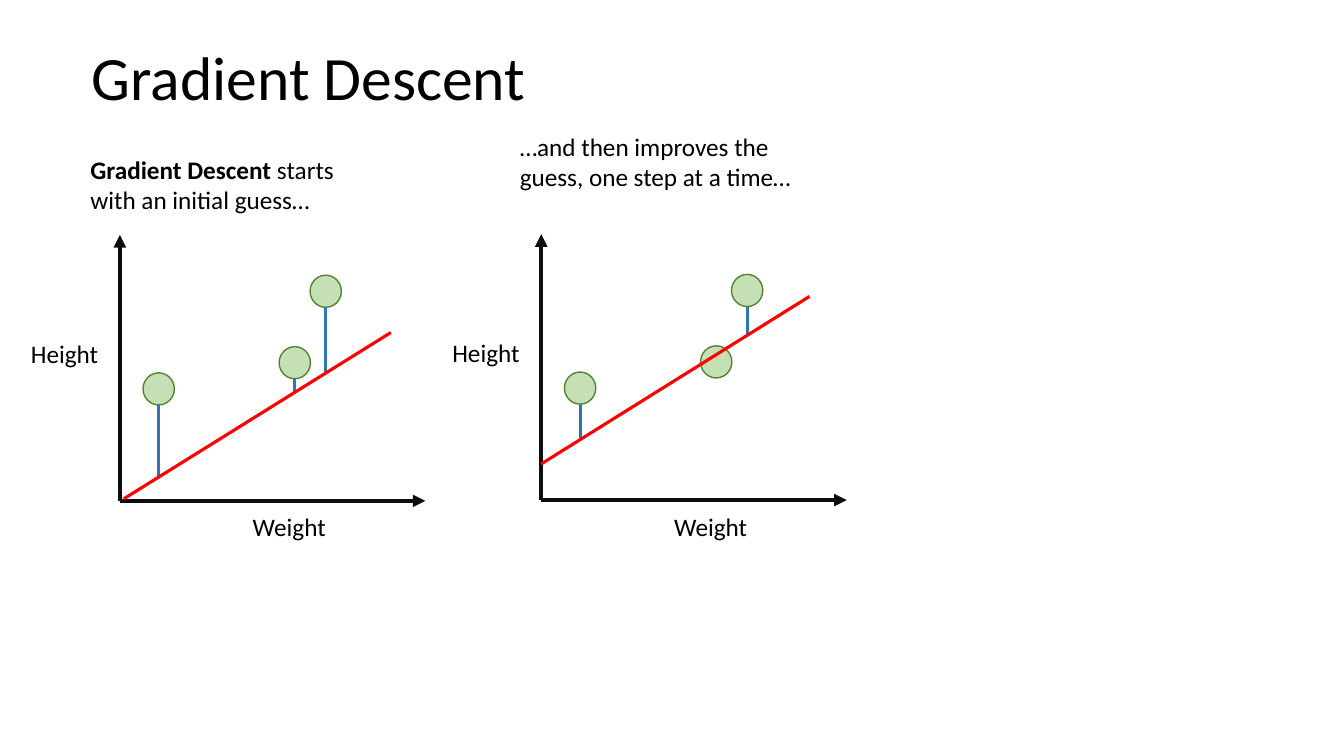
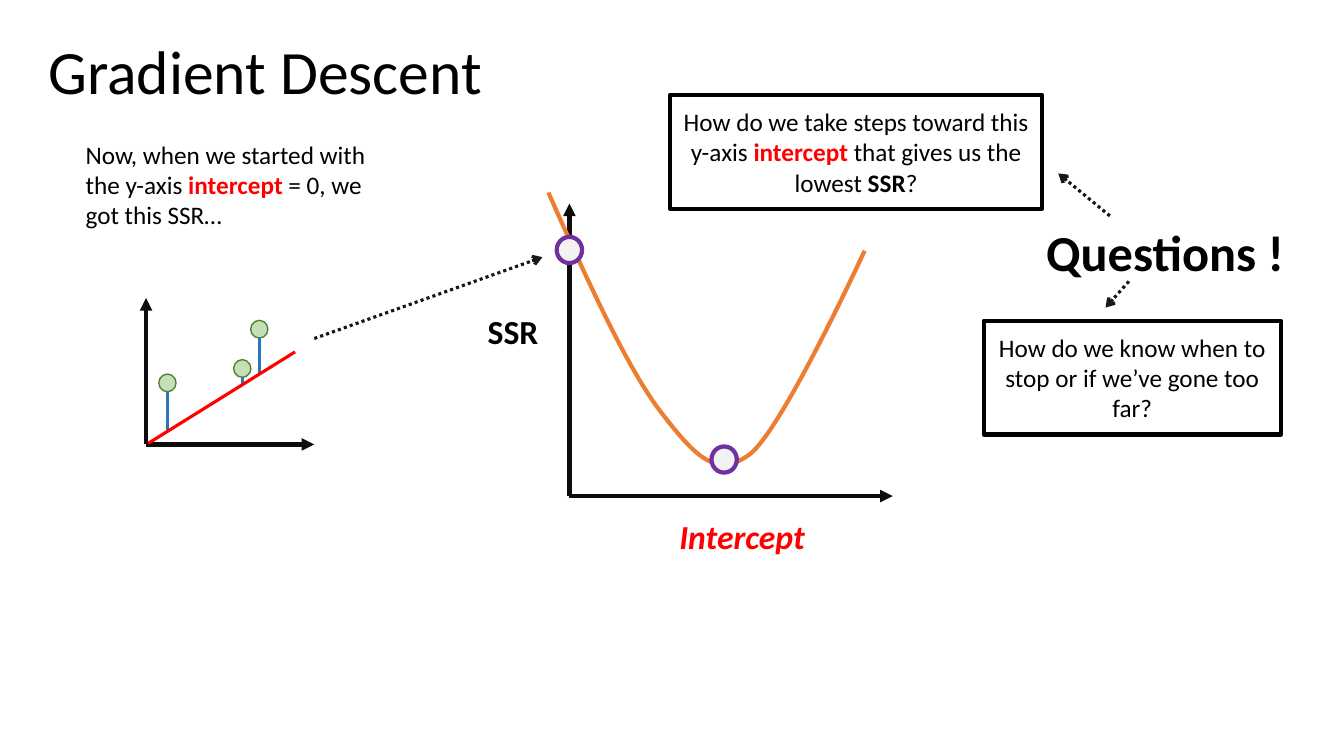
from dataclasses import dataclass

from pptx import Presentation
from pptx.dml.color import RGBColor as Rgb
from pptx.enum.dml import MSO_LINE as Dash
from pptx.enum.shapes import MSO_CONNECTOR as Connector, MSO_SHAPE as Preset
from pptx.enum.text import MSO_ANCHOR as Anchor, PP_ALIGN as Align
from pptx.oxml import parse_xml
from pptx.oxml.ns import nsdecls, qn
from pptx.util import Cm, Pt


@dataclass(frozen=True)
class Theme:
    font: str = "Calibri"
    title_size: int = 44
    callout_size: int = 36
    axis_size: int = 24
    body_size: int = 18
    black: str = "000000"
    axis: str = "0D0D0D"
    arrow: str = "181717"
    red: str = "FF0000"
    residual: str = "2E75B6"
    dot_fill: str = "C5E0B4"
    dot_line: str = "548235"
    curve: str = "ED7D31"
    step_fill: str = "F2F2F2"
    step_line: str = "7030A0"
    thick: float = 3
    medium: float = 2.25
    thin: float = 1


theme = Theme()


def add_line(slide, start, end, color, width, head=None, dash=None):
    points = [Cm(value) for value in (*start, *end)]
    connector = slide.shapes.add_connector(Connector.STRAIGHT, *points)
    connector.line.color.rgb = Rgb.from_string(color)
    connector.line.width = Pt(width)
    if dash:
        connector.line.dash_style = dash
    properties = connector._element.spPr
    if head:
        properties.find(qn("a:ln")).append(
            parse_xml(f'<a:tailEnd {nsdecls("a")} type="{head}"/>'))
    properties.append(parse_xml(f'<a:effectLst {nsdecls("a")}/>'))


def add_circle(slide, center, size, fill, line, width):
    left, top = (middle - length / 2 for middle, length in zip(center, size))
    shape = slide.shapes.add_shape(Preset.OVAL, Cm(left), Cm(top), *map(Cm, size))
    shape.shadow.inherit = False
    shape.fill.solid()
    shape.fill.fore_color.rgb = Rgb.from_string(fill)
    shape.line.color.rgb = Rgb.from_string(line)
    shape.line.width = Pt(width)


presentation = Presentation()
presentation.slide_width, presentation.slide_height = Cm(33.87), Cm(19.05)
blank = presentation.slide_layouts[6]
guess_slide, question_slide = (presentation.slides.add_slide(blank) for _ in range(2))

# Axes: slide, origin, width, height
first, second, small, error = (3.02, 12.62), (13.64, 12.6), (3.68, 11.2), (14.35, 12.5)
axes = [
    (guess_slide, first, 7.7, 6.7),
    (guess_slide, second, 7.7, 6.7),
    (question_slide, small, 4.24, 3.69),
    (question_slide, error, 8.15, 7.37),
]
for slide, (x, y), width, height in axes:
    for end in ((x, y - height), (x + width, y)):
        add_line(slide, (x, y), end, theme.axis, theme.thick, "triangle")

# Scatter plots: heights are measured up from the origin
dots = [(0.98, 2.82), (4.41, 3.48), (5.19, 5.28)]
dot_width, dot_height = 0.79, 0.81
initial_fit = ((0.1, 0.05), (6.83, 4.24))
improved_fit = ((0, 0.91), (6.76, 5.13))
plots = [
    (guess_slide, first, 1, initial_fit),
    (guess_slide, second, 1, improved_fit),
    (question_slide, small, 0.55, initial_fit),
]
for slide, (x, y), scale, fit in plots:
    (fit_x, fit_y), (end_x, end_y) = fit
    slope = (end_y - fit_y) / (end_x - fit_x)
    for dot_x, dot_y in dots:
        center_x = x + dot_x * scale
        add_circle(slide, (center_x, y - dot_y * scale),
                   (dot_width * scale, dot_height * scale),
                   theme.dot_fill, theme.dot_line, theme.thin)
        bottom = dot_y - dot_height / 2
        predicted = fit_y + slope * (dot_x - fit_x)
        if bottom > predicted:
            add_line(slide, (center_x, y - bottom * scale),
                     (center_x, y - predicted * scale), theme.residual, theme.medium)
    start, end = ((x + px * scale, y - py * scale) for px, py in fit)
    add_line(slide, start, end, theme.red, theme.medium)

# Error curve: three joined cubic segments
controls = [
    (13.82, 4.85), (14.81, 7.09), (15.82, 9.3), (16.66, 10.39), (17.53, 11.51),
    (18.06, 12.09), (18.92, 11.43), (19.76, 10.74), (21.79, 6.32), (21.79, 6.32),
]
steps = 24
curve_points = []
for index in range(0, len(controls) - 1, 3):
    segment = controls[index:index + 4]
    for step in range(1, steps + 1):
        t = step / steps
        weights = ((1 - t) ** 3, 3 * t * (1 - t) ** 2, 3 * t ** 2 * (1 - t), t ** 3)
        curve_points.append(tuple(
            Cm(sum(weight * value for weight, value in zip(weights, values)))
            for values in zip(*segment)))
builder = question_slide.shapes.build_freeform(*map(Cm, controls[0]))
builder.add_line_segments(curve_points, close=False)
curve = builder.convert_to_shape()
curve.shadow.inherit = False
curve.fill.background()
curve.line.color.rgb = Rgb.from_string(theme.curve)
curve.line.width = Pt(theme.thick)

for center in ((18.25, 11.58), (14.35, 6.3)):
    add_circle(question_slide, center, (0.64, 0.66),
               theme.step_fill, theme.step_line, theme.thick)

# Dotted arrows
arrows = [
    ((27.97, 5.44), (26.67, 4.37)),
    ((28.45, 7.09), (27.86, 7.75)),
    ((7.92, 8.53), (13.67, 6.48)),
]
for start, end in arrows:
    add_line(question_slide, start, end, theme.arrow, theme.medium, "arrow", Dash.ROUND_DOT)

# Texts: slide, box, size, runs, paragraph format, framed
plain, bold = {}, {"bold": True}
red_bold = {"bold": True, "color": theme.red}
red_italic = {**red_bold, "italic": True}
left, centered = {}, {"alignment": Align.CENTER}
title_format = {"line_spacing": 0.9}
texts = [
    (guess_slide, (2.03, 3.76, 6.76, 1.8), theme.body_size,
     [("Gradient Descent", bold), (" starts with an initial guess…", plain)], left, False),
    (guess_slide, (12.85, 3.18, 7.34, 2.57), theme.body_size,
     [("…and then improves the guess, one step at a time…", plain)], left, False),
    (question_slide, (1.91, 3.38, 8.41, 2.57), theme.body_size,
     [("Now, when we started with the y-axis ", plain), ("intercept", red_bold),
      (" = 0, we got this SSR…", plain)], left, False),
    (question_slide, (16.89, 2.39, 9.37, 2.87), theme.body_size,
     [("How do we take steps toward this y-axis ", plain), ("intercept", red_bold),
      (" that gives us the lowest ", plain), ("SSR", bold), ("?", plain)], centered, True),
    (question_slide, (24.79, 8.08, 7.49, 2.87), theme.body_size,
     [("How do we know when to stop or if we’ve gone too far?", plain)], centered, True),
    (question_slide, (25.81, 5.44, 7.11, 1.8), theme.callout_size,
     [("Questions !", bold)], centered, False),
    (question_slide, (12.04, 7.72, 2.64, 1.27), theme.axis_size, [("SSR", bold)], left, False),
    (question_slide, (16.87, 12.88, 3.81, 1.27), theme.axis_size,
     [("Intercept", red_italic)], left, False),
]
for slide, x, y in ((guess_slide, 2.06, 0.2), (question_slide, 0.97, 0.03)):
    texts.append((slide, (x, y, 17.32, 3.68), theme.title_size,
                  [("Gradient Descent", plain)], title_format, False))
for x, y in (first, second):
    for label, dx, dy in (("Height", -2.49, -4.22), ("Weight", 3.1, 0.15)):
        texts.append((guess_slide, (x + dx, y + dy, 2.49, 0.94), theme.body_size,
                      [(label, plain)], left, False))

for slide, box, size, runs, paragraph_format, framed in texts:
    shape = slide.shapes.add_textbox(*map(Cm, box))
    frame = shape.text_frame
    frame.word_wrap = True
    if framed:
        shape.line.color.rgb = Rgb.from_string(theme.black)
        shape.line.width = Pt(theme.thick)
    if framed or size == theme.title_size:
        frame.vertical_anchor = Anchor.MIDDLE
    paragraph = frame.paragraphs[0]
    for name, value in paragraph_format.items():
        setattr(paragraph, name, value)
    for text, run_format in runs:
        run = paragraph.add_run()
        run.text = text
        values = {"name": theme.font, "size": Pt(size), "color": theme.black, **run_format}
        run.font.color.rgb = Rgb.from_string(values.pop("color"))
        for name, value in values.items():
            setattr(run.font, name, value)

presentation.save("out.pptx")
